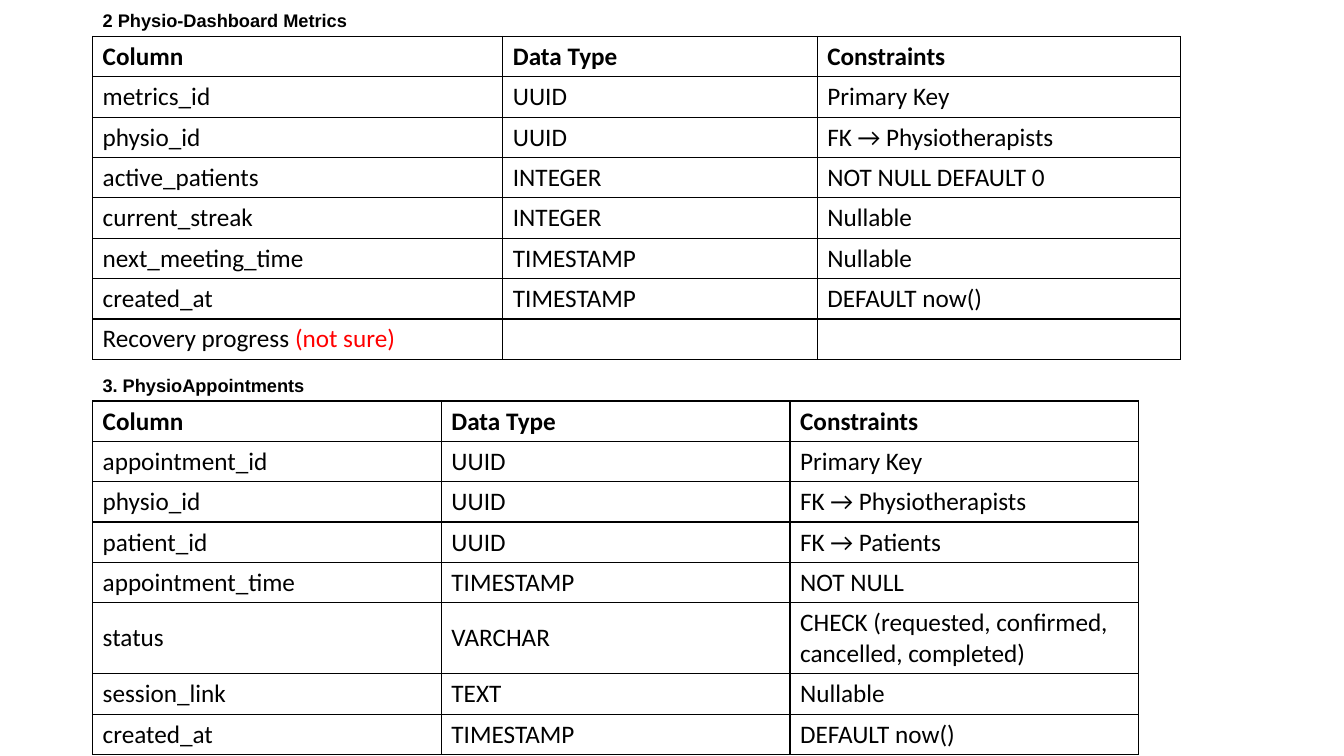
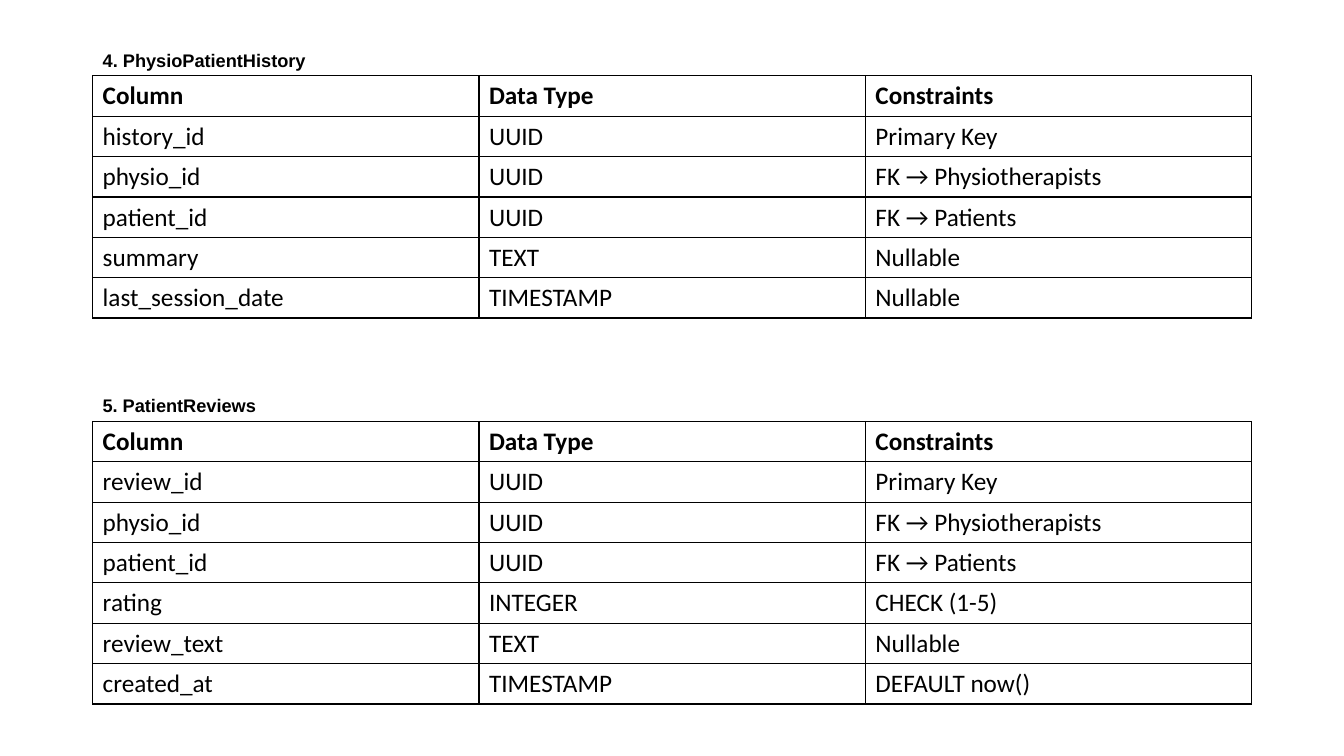
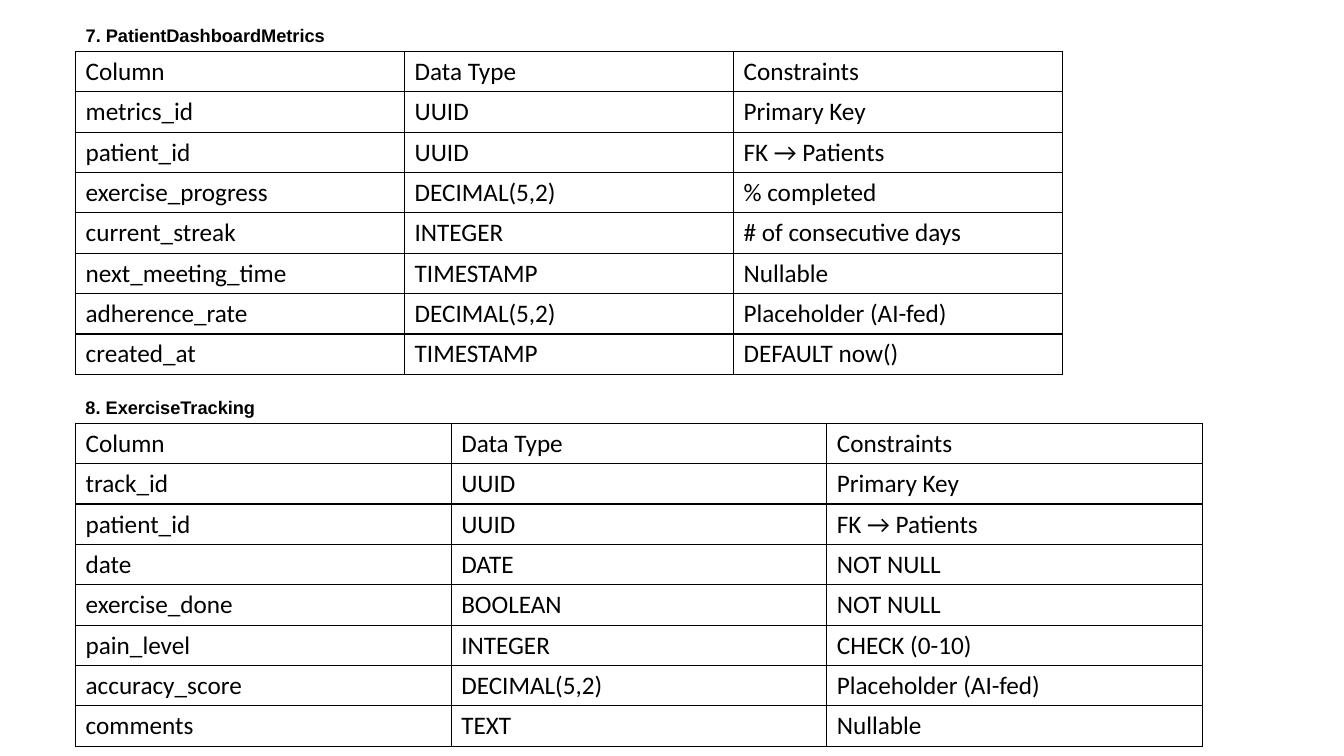
"""Build three slides of database schema tables, two captioned tables on each."""
from lxml import etree
from pptx import Presentation
from pptx.dml.color import RGBColor
from pptx.enum import text as txt
from pptx.oxml import ns
from pptx.util import Pt

BLACK = RGBColor(0, 0, 0)
RED = RGBColor(255, 0, 0)
ROW_HEIGHT = 28.8
LINE_HEIGHT = 22
CAPTION_HEIGHT = 23
DOUBT = "(not sure)"
HEADINGS = ("Column", "Data Type", "Constraints")

METRICS_ID = ("metrics_id", "UUID", "Primary Key")
PHYSIO_ID = ("physio_id", "UUID", "FK → Physiotherapists")
PATIENT_ID = ("patient_id", "UUID", "FK → Patients")
STREAK = "current_streak"
NEXT_MEETING = ("next_meeting_time", "TIMESTAMP", "Nullable")
CREATED_AT = ("created_at", "TIMESTAMP", "DEFAULT now()")

SLIDES = [
    dict(left=66.2, bold_headings=True, schemas=[
        ("2 Physio-Dashboard Metrics", 191.5, 26, (293, 224.6, 259.2), [
            METRICS_ID,
            PHYSIO_ID,
            ("active_patients", "INTEGER", "NOT NULL DEFAULT 0"),
            (STREAK, "INTEGER", "Nullable"),
            NEXT_MEETING,
            CREATED_AT,
            ("Recovery progress " + DOUBT, "", ""),
        ]),
        ("3. PhysioAppointments", 163.4, 286.4, (249.1,) * 3, [
            ("appointment_id", "UUID", "Primary Key"),
            PHYSIO_ID,
            PATIENT_ID,
            ("appointment_time", "TIMESTAMP", "NOT NULL"),
            ("status", "VARCHAR", "CHECK (requested, confirmed, cancelled, completed)"),
            ("session_link", "TEXT", "Nullable"),
            CREATED_AT,
        ]),
    ]),
    dict(left=66.2, bold_headings=True, schemas=[
        ("4. PhysioPatientHistory", 185.8, 54.2, (276,) * 3, [
            ("history_id", "UUID", "Primary Key"),
            PHYSIO_ID,
            PATIENT_ID,
            ("summary", "TEXT", "Nullable"),
            ("last_session_date", "TIMESTAMP", "Nullable"),
        ]),
        ("5. PatientReviews", 139.7, 301, (276,) * 3, [
            ("review_id", "UUID", "Primary Key"),
            PHYSIO_ID,
            PATIENT_ID,
            ("rating", "INTEGER", "CHECK (1-5)"),
            ("review_text", "TEXT", "Nullable"),
            CREATED_AT,
        ]),
    ]),
    dict(left=54, bold_headings=False, schemas=[
        ("7. PatientDashboardMetrics", 218.9, 36.7, (235,) * 3, [
            METRICS_ID,
            PATIENT_ID,
            ("exercise_progress", "DECIMAL(5,2)", "% completed"),
            (STREAK, "INTEGER", "# of consecutive days"),
            NEXT_MEETING,
            ("adherence_rate", "DECIMAL(5,2)", "Placeholder (AI-fed)"),
            CREATED_AT,
        ]),
        ("8. ExerciseTracking", 144, 302.4, (268.3,) * 3, [
            ("track_id", "UUID", "Primary Key"),
            PATIENT_ID,
            ("date", "DATE", "NOT NULL"),
            ("exercise_done", "BOOLEAN", "NOT NULL"),
            ("pain_level", "INTEGER", "CHECK (0-10)"),
            ("accuracy_score", "DECIMAL(5,2)", "Placeholder (AI-fed)"),
            ("comments", "TEXT", "Nullable"),
        ]),
    ]),
]


def add_run(paragraph, words, font_name, size, bold, color=BLACK):
    run = paragraph.add_run()
    run.text = words
    run.font.name = font_name
    run.font.size = Pt(size)
    run.font.bold = bold
    run.font.color.rgb = color


def add_borders(cell):
    properties = cell._tc.get_or_add_tcPr()
    for position, side in enumerate(("lnL", "lnR", "lnT", "lnB")):
        border = etree.Element(ns.qn("a:" + side), w=str(Pt(1)))
        fill = etree.SubElement(border, ns.qn("a:solidFill"))
        etree.SubElement(fill, ns.qn("a:srgbClr"), val=str(BLACK))
        properties.insert(position, border)


deck = Presentation()
deck.slide_width = Pt(960)
deck.slide_height = Pt(540)

for page in SLIDES:
    slide = deck.slides.add_slide(deck.slide_layouts[5])
    left = Pt(page["left"])
    for index, (name, caption_width, top, widths, fields) in enumerate(page["schemas"]):
        area = (left, Pt(top - CAPTION_HEIGHT), Pt(caption_width), Pt(CAPTION_HEIGHT))
        if index == 0:
            caption = slide.shapes.title
            caption.left, caption.top, caption.width, caption.height = area
        else:
            caption = slide.shapes.add_textbox(*area)
        frame = caption.text_frame
        frame.word_wrap = True
        frame.auto_size = txt.MSO_AUTO_SIZE.SHAPE_TO_FIT_TEXT
        frame.vertical_anchor = txt.MSO_ANCHOR.MIDDLE
        frame.paragraphs[0].alignment = txt.PP_ALIGN.LEFT
        add_run(frame.paragraphs[0], name, "Arial", 13, True)

        rows = [HEADINGS] + fields
        schema = slide.shapes.add_table(
            len(rows), len(HEADINGS), left, Pt(top),
            Pt(sum(widths)), Pt(ROW_HEIGHT * len(rows))).table
        schema.first_row = page["bold_headings"]
        schema.horz_banding = False
        for column, width in zip(schema.columns, widths):
            column.width = Pt(width)
        for r, values in enumerate(rows):
            extra = LINE_HEIGHT if values[0] == "status" else 0
            schema.rows[r].height = Pt(ROW_HEIGHT + extra)
            for c, value in enumerate(values):
                cell = schema.cell(r, c)
                cell.vertical_anchor = txt.MSO_ANCHOR.MIDDLE
                cell.fill.background()
                add_borders(cell)
                label, doubt, _ = value.partition(DOUBT)
                for words, color in ((label, BLACK), (doubt, RED)):
                    if words:
                        bold = r == 0 and page["bold_headings"]
                        add_run(cell.text_frame.paragraphs[0], words, "Calibri", 18, bold, color)

deck.save("out.pptx")
